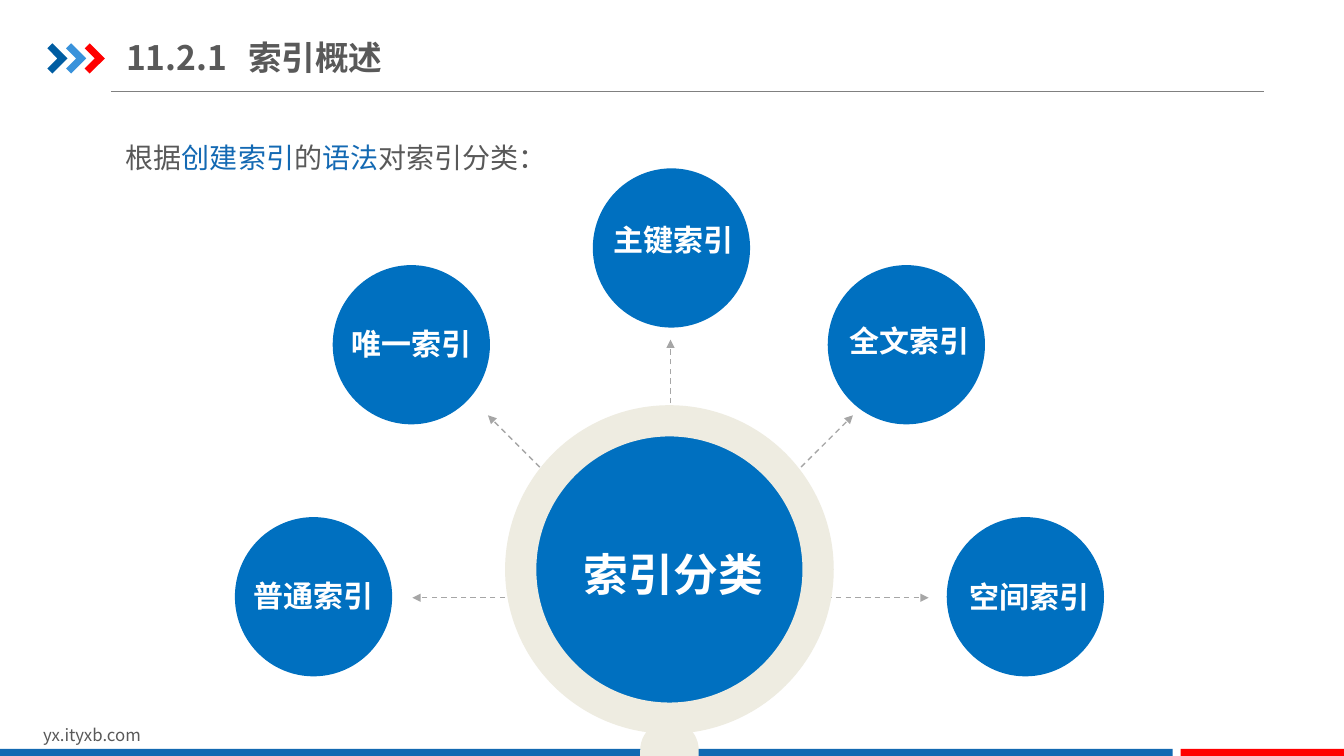
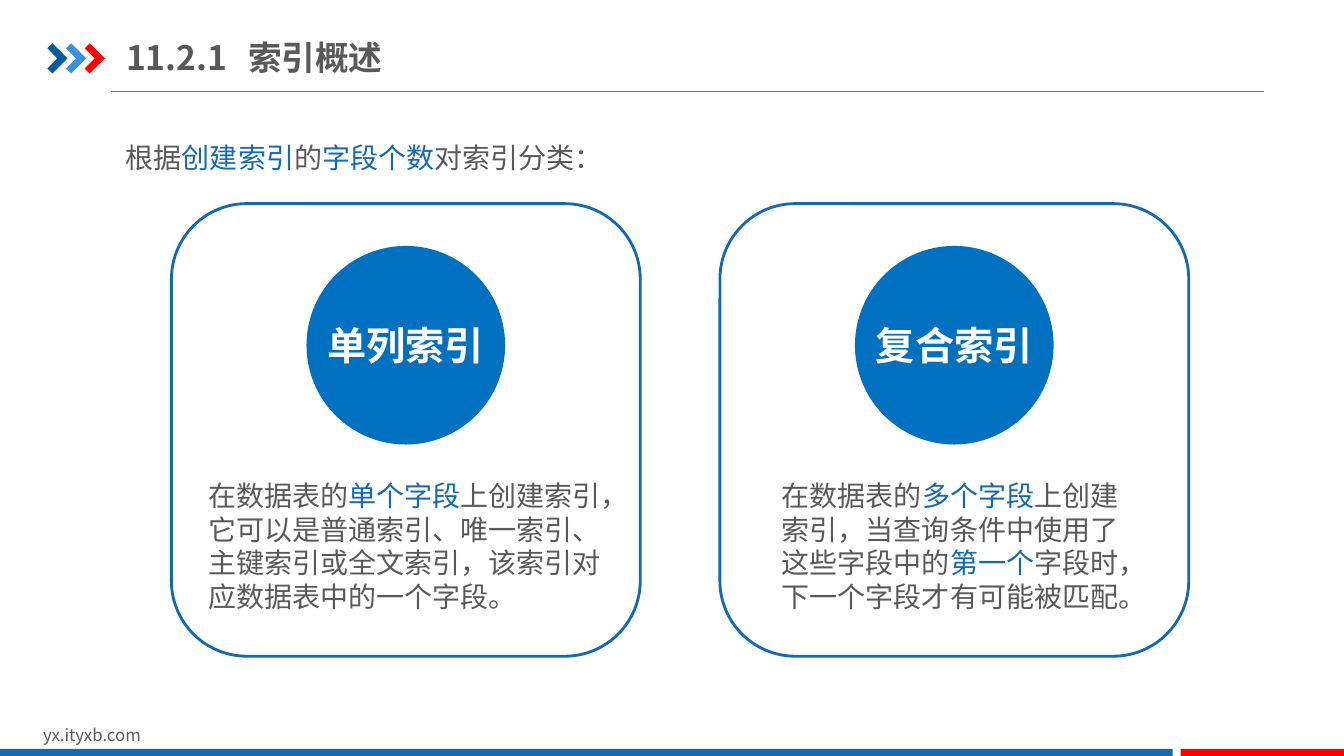
from dataclasses import dataclass
from math import cos, radians, sin

from lxml.etree import SubElement
from pptx import Presentation
from pptx.dml.color import RGBColor
from pptx.enum.dml import MSO_LINE
from pptx.enum.shapes import MSO_CONNECTOR as Connector, MSO_SHAPE as Preset
from pptx.enum.text import MSO_ANCHOR as Anchor, MSO_AUTO_SIZE as AutoSize, PP_ALIGN as Align
from pptx.oxml.ns import qn
from pptx.util import Inches, Pt


@dataclass(frozen=True)
class Theme:
    font: str = "Noto Sans CJK SC"
    text: str = "595959"
    accent: str = "1369B3"
    bar: str = "1369B2"
    disc: str = "0070C0"
    ring: str = "EEECE1"
    arrow: str = "A6A6A6"
    rule: str = "808080"
    red: str = "FF0000"
    white: str = "FFFFFF"
    chevrons: tuple = ("005DA2", "3992DB", "FF0000")
    footer_size: float = 12
    body_size: float = 20
    label_size: float = 21.4
    title_size: float = 24
    card_label_size: float = 28
    hub_size: float = 32


THEME = Theme()


@dataclass(frozen=True)
class Box:
    left: float
    top: float
    width: float
    height: float

    def inner(self, dx, dy, width, height):
        """Box placed at an offset from this one's top left corner."""
        return Box(self.left + dx, self.top + dy, width, height)

    def centred(self, dy, width, height):
        return self.inner((self.width - width) / 2, dy, width, height)

    def emu(self):
        return [Inches(v) for v in (self.left, self.top, self.width, self.height)]


SLIDE = Box(0, 0, 13.33, 7.5)
TITLE = Box(1.25, 0.29, 4.26, 0.55)
LEAD = Box(1.15, 1.18, 11.1, 0.55)
DIAGRAM = Box(2.33, 1.67, 8.62, 5.83)
CARDS = Box(1.7, 2.02, 10.09, 4.49)


def rgb(value):
    return RGBColor.from_string(value)


def add_run(paragraph, text, size, color, bold=False):
    run = paragraph.add_run()
    run.text = text
    font = run.font
    font.size, font.bold = Pt(size), bold
    font.color.rgb = rgb(color)
    font.name = THEME.font
    SubElement(run._r.get_or_add_rPr(), qn("a:ea"), typeface=THEME.font)


def add_text(slide, box, phrases, size=THEME.body_size, spacing=None):
    """Text box whose phrases alternate between text and accent colour."""
    frame = slide.shapes.add_textbox(*box.emu()).text_frame
    frame.word_wrap = True
    paragraph = frame.paragraphs[0]
    if spacing:
        paragraph.line_spacing = spacing
    for index, phrase in enumerate(phrases):
        add_run(paragraph, phrase, size, THEME.accent if index % 2 else THEME.text)


def paint(shape, fill=None, outline=None):
    shape.shadow.inherit = False
    if fill:
        shape.fill.solid()
        shape.fill.fore_color.rgb = rgb(fill)
    else:
        shape.fill.background()
    if outline:
        shape.line.color.rgb = rgb(outline)
        shape.line.width = Pt(2)
    else:
        shape.line.fill.background()
    return shape


def add_preset(slide, preset, box, fill=None, outline=None):
    return paint(slide.shapes.add_shape(preset, *box.emu()), fill, outline)


def add_disc(slide, box, label, size, nudge=(0, 0)):
    """Labelled circle; nudge moves the label right and down from the centre."""
    frame = add_preset(slide, Preset.OVAL, box, THEME.disc).text_frame
    frame.word_wrap = False
    frame.vertical_anchor = Anchor.MIDDLE
    right, down = (Inches(2 * shift) for shift in nudge)
    frame.margin_left, frame.margin_right = max(right, 0), max(-right, 0)
    frame.margin_top, frame.margin_bottom = max(down, 0), max(-down, 0)
    paragraph = frame.paragraphs[0]
    paragraph.alignment = Align.CENTER
    add_run(paragraph, label, size, THEME.white, bold=True)


def add_line(slide, start, end, color, width, arrow=False):
    points = [Inches(v) for v in (*start, *end)]
    line = slide.shapes.add_connector(Connector.STRAIGHT, *points)
    line.line.color.rgb = rgb(color)
    line.line.width = Pt(width)
    if arrow:
        line.line.dash_style = MSO_LINE.DASH
        SubElement(line.get_or_add_ln(), qn("a:tailEnd"), type="triangle")
    SubElement(line.element.spPr, qn("a:effectLst"))


def add_chevron(slide, left, top, color):
    outline = [(0, 0.05), (0.05, 0), (0.2, 0.15), (0.05, 0.3), (0, 0.25), (0.1, 0.15)]
    points = [(Inches(left + x), Inches(top + y)) for x, y in outline]
    builder = slide.shapes.build_freeform(*points[0])
    builder.add_line_segments(points[1:], close=True)
    paint(builder.convert_to_shape(), color)


def furnish_layout(slide):
    """Draw the header and footer, then hand them over to the slide's layout."""
    own = len(slide.shapes)
    add_line(slide, (1.1, 0.91), (12.54, 0.91), THEME.rule, 0.75)
    for index, color in enumerate(THEME.chevrons):
        add_chevron(slide, 0.47 + 0.185 * index, 0.43, color)
    add_text(slide, SLIDE.inner(0.33, 7.14, 3.18, 0.3), ["yx.ityxb.com"], THEME.footer_size)
    for left, width, color in ((0, 11.63, THEME.bar), (11.71, 1.62, THEME.red)):
        add_preset(slide, Preset.RECTANGLE, SLIDE.inner(left, 7.43, width, 0.07), color)
    layout_tree = slide.slide_layout.shapes.element
    for shape in list(slide.shapes)[own:]:
        layout_tree.append(shape.element)


def add_title(slide, number, heading):
    title = slide.shapes.title
    title.left, title.top, title.width, title.height = TITLE.emu()
    frame = title.text_frame
    frame.auto_size = AutoSize.NONE
    frame.word_wrap = True
    frame.vertical_anchor = Anchor.MIDDLE
    frame.margin_left = frame.margin_right = 0
    frame.margin_top = frame.margin_bottom = Inches(0.07)
    paragraph = frame.paragraphs[0]
    paragraph.alignment = Align.LEFT
    stops = SubElement(paragraph._p.get_or_add_pPr(), qn("a:tabLst"))
    SubElement(stops, qn("a:tab"), pos=str(Inches(1.21)), algn="l")
    add_run(paragraph, f"{number}\t{heading}", THEME.title_size, THEME.text, bold=True)


def add_hub_diagram(slide, box, hub_label, satellites):
    origin = box.inner(4.32, 4.26, 0, 0)
    reach = 2.56
    for angle in range(0, 181, 45):
        tip = (origin.left + reach * cos(radians(angle)),
               origin.top - reach * sin(radians(angle)))
        add_line(slide, (origin.left, origin.top), tip, THEME.arrow, 1, arrow=True)

    rim = 0.265
    ring_box = box.inner(2.68, 2.35, 3.26, 3.26)
    hub_side = ring_box.width - 2 * rim
    add_disc(slide, ring_box.centred(rim, hub_side, hub_side), hub_label,
             THEME.hub_size, (0.04, 0.04))
    ring = add_preset(slide, Preset.DONUT, ring_box, THEME.ring)
    ring.adjustments[0] = 0.31 / ring_box.width
    handle = add_preset(slide, Preset.ROUNDED_RECTANGLE,
                        box.inner(4.02, 5.48, 0.58, 1.17), THEME.ring)
    handle.adjustments[0] = 0.5

    for label, dx, dy, nudge in satellites:
        add_disc(slide, box.inner(dx, dy, 1.56, 1.58), label, THEME.label_size, nudge)


def add_card(slide, box, label, text_width, phrases):
    add_preset(slide, Preset.ROUNDED_RECTANGLE, box, outline=THEME.accent)
    add_disc(slide, box.centred(0.42, 1.97, 1.97), label, THEME.card_label_size)
    add_text(slide, box.centred(2.68, text_width, 1.45), phrases)


def add_cards(slide, box, cards):
    width = 4.65
    step = (box.width - width) / (len(cards) - 1)
    for index, card in enumerate(cards):
        add_card(slide, box.inner(index * step, 0, width, box.height), *card)


def new_slide(deck, lead):
    slide = deck.slides.add_slide(deck.slide_layouts[5])
    add_title(slide, "11.2.1", "索引概述")
    add_text(slide, LEAD, lead, spacing=1.5)
    return slide


def main():
    deck = Presentation()
    deck.slide_width, deck.slide_height = Inches(SLIDE.width), Inches(SLIDE.height)

    syntax = new_slide(deck, ["根据", "创建索引", "的", "语法", "对索引分类："])
    furnish_layout(syntax)
    add_hub_diagram(syntax, DIAGRAM, "索引分类", [
        ("普通索引", 0, 3.46, (0, -0.01)),
        ("唯一索引", 0.97, 0.96, (0, -0.01)),
        ("主键索引", 3.55, 0, (0.02, -0.08)),
        ("全文索引", 5.88, 0.96, (0.03, -0.04)),
        ("空间索引", 7.06, 3.46, (0.04, 0)),
    ])

    fields = new_slide(deck, ["根据", "创建索引", "的", "字段个数", "对索引分类："])
    add_cards(fields, CARDS, [
        ("单列索引", 4.12, [
            "在数据表的", "单个字段",
            "上创建索引，它可以是普通索引、唯一索引、主键索引或全文索引，该索引对应数据表中的一个字段。"]),
        ("复合索引", 3.62, [
            "在数据表的", "多个字段", "上创建索引，当查询条件中使用了这些字段中的",
            "第一个", "字段时，下一个字段才有可能被匹配。"]),
    ])

    deck.save("out.pptx")


if __name__ == "__main__":
    main()
